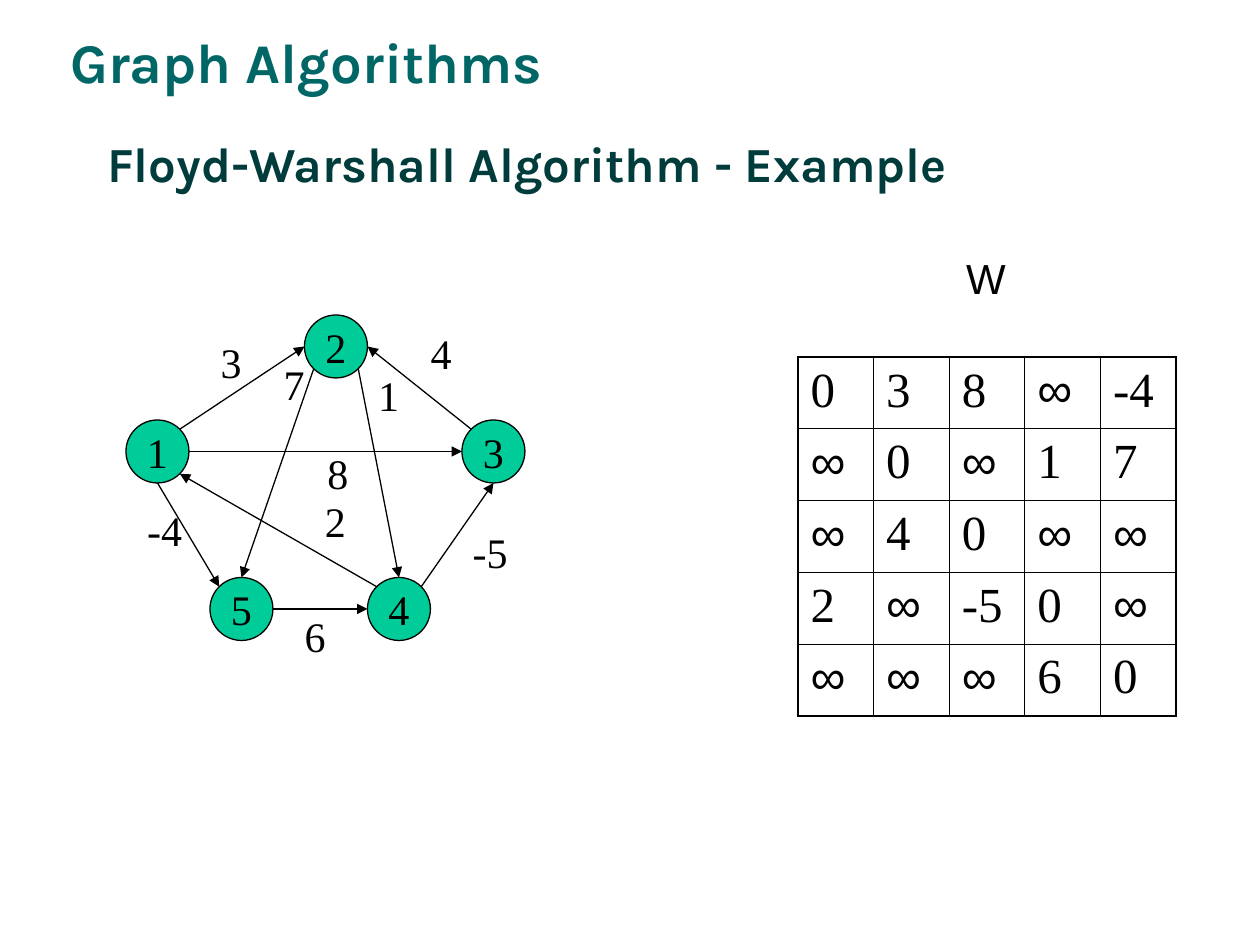
from math import sqrt
from lxml.etree import SubElement
from pptx import Presentation
from pptx.dml.color import RGBColor
from pptx.enum.shapes import MSO_CONNECTOR, MSO_SHAPE
from pptx.enum.text import MSO_ANCHOR, MSO_AUTO_SIZE, PP_ALIGN
from pptx.oxml import parse_xml
from pptx.oxml.ns import nsdecls, qn
from pptx.util import Pt


def color(code):
    return RGBColor.from_string(code)


class Board:
    serif, sans, head = "Times New Roman", "Arial", "Karla"
    ink, green = "000000", "00CC99"
    thin, thick = 0.45, 1.08

    def __init__(self, slide):
        self.slide = slide

    def text(self, frame, words, size, font, code=ink, bold=False,
             align=PP_ALIGN.LEFT):
        para = frame.paragraphs[0]
        para.alignment = align
        run = para.add_run()
        run.text = words
        run.font.size = Pt(size)
        run.font.name = font
        run.font.bold = bold
        run.font.color.rgb = color(code)

    def title(self, words, left, top, width, height):
        shape = self.slide.shapes.title
        shape.left, shape.top = Pt(left), Pt(top)
        shape.width, shape.height = Pt(width), Pt(height)
        frame = shape.text_frame
        frame.auto_size = MSO_AUTO_SIZE.NONE
        frame.vertical_anchor = MSO_ANCHOR.MIDDLE
        self.text(frame, words, 28, self.head, "003C3B", True)

    def label(self, words, left, top, width, height=36, size=24,
              font=serif, code=ink, bold=False):
        box = self.slide.shapes.add_textbox(
            Pt(left), Pt(top), Pt(width), Pt(height))
        frame = box.text_frame
        frame.word_wrap = False
        frame.auto_size = MSO_AUTO_SIZE.SHAPE_TO_FIT_TEXT
        self.text(frame, words, size, font, code, bold)

    def node(self, words, left, top, size):
        shape = self.slide.shapes.add_shape(
            MSO_SHAPE.FLOWCHART_CONNECTOR,
            Pt(left), Pt(top), Pt(size), Pt(size))
        shape.shadow.inherit = False
        shape.fill.solid()
        shape.fill.fore_color.rgb = color(self.green)
        shape.line.color.rgb = color(self.ink)
        shape.line.width = Pt(0.75)
        frame = shape.text_frame
        frame.word_wrap = False
        frame.vertical_anchor = MSO_ANCHOR.MIDDLE
        self.text(frame, words, 24, self.serif, align=PP_ALIGN.CENTER)

    def arrow(self, start, end):
        line = self.slide.shapes.add_connector(
            MSO_CONNECTOR.STRAIGHT, *(Pt(n) for n in start + end))
        line.line.color.rgb = color(self.ink)
        line.line.width = Pt(0.75)
        props = line._element.spPr
        SubElement(props.find(qn("a:ln")), qn("a:tailEnd"), type="triangle")
        SubElement(props, qn("a:effectLst"))

    def border(self, cell, sides):
        props = cell._tc.get_or_add_tcPr()
        for spot, (side, width) in enumerate(sides.items()):
            props.insert(spot, parse_xml(
                f'<a:ln{side} {nsdecls("a")} w="{Pt(width)}"><a:solidFill>'
                f'<a:srgbClr val="{self.ink}"/></a:solidFill></a:ln{side}>'))

    def matrix(self, rows, left, top, width, height):
        count = len(rows)
        table = self.slide.shapes.add_table(
            count, count, Pt(left), Pt(top), Pt(width), Pt(height)).table
        table.first_row = table.horz_banding = False
        last = count - 1
        for r, row in enumerate(rows):
            for c, value in enumerate(row):
                cell = table.cell(r, c)
                cell.fill.background()
                font = self.sans if value == "∞" else self.serif
                self.text(cell.text_frame, value, 28, font)
                outer = {"L": c == 0, "R": c == last,
                         "T": r == 0, "B": r == last}
                self.border(cell, {side: self.thick if edge else self.thin
                                   for side, edge in outer.items()})


SIZE = 36
NODES = {"2": (174, 180), "4": (210, 330), "5": (120, 330),
         "1": (72, 240), "3": (264, 240)}
# Each arrow leaves and meets a node at a compass point
EDGES = ["1 NE 2 W", "3 NW 2 E", "1 S 5 NW", "5 E 4 W", "4 NE 3 S",
         "4 NW 1 SE", "1 E 3 W", "2 SW 5 N", "2 SE 4 N"]
COSTS = [("3", 119, 189), ("4", 239, 183.5), ("-4", 77, 285),
         ("-5", 263, 297.5), ("6", 167, 345.5), ("7", 155, 201.5),
         ("1", 209, 207.5), ("8", 180, 252), ("2", 178.5, 279.5)]
WEIGHTS = ["0 3 8 ∞ -4", "∞ 0 ∞ 1 7", "∞ 4 0 ∞ ∞",
           "2 ∞ -5 0 ∞", "∞ ∞ ∞ 6 0"]


def port(name, side):
    half = SIZE / 2
    reach = half / sqrt(len(side))
    left, top = NODES[name]
    return (left + half + reach * (("E" in side) - ("W" in side)),
            top + half + reach * (("S" in side) - ("N" in side)))


def main():
    deck = Presentation()
    deck.slide_width, deck.slide_height = Pt(720), Pt(540)
    board = Board(deck.slides.add_slide(deck.slide_layouts[5]))

    # Headings
    board.label("Graph Algorithms", 33, 12, 299.5, 46, 32,
                Board.head, "006666", True)
    board.title("Floyd-Warshall Algorithm - Example", 54, 48, 666, 90)

    # Graph
    for name, (left, top) in NODES.items():
        board.node(name, left, top, SIZE)
    for edge in EDGES:
        tail, leave, head, meet = edge.split()
        board.arrow(port(tail, leave), port(head, meet))
    for cost, left, top in COSTS:
        board.label(cost, left, top, 26 if len(cost) == 1 else 34.5)

    # Weight matrix
    board.matrix([row.split() for row in WEIGHTS], 456, 204, 216, 205)
    board.label("W", 545, 141, 36.5, font=Board.sans)

    deck.save("out.pptx")


if __name__ == "__main__":
    main()
